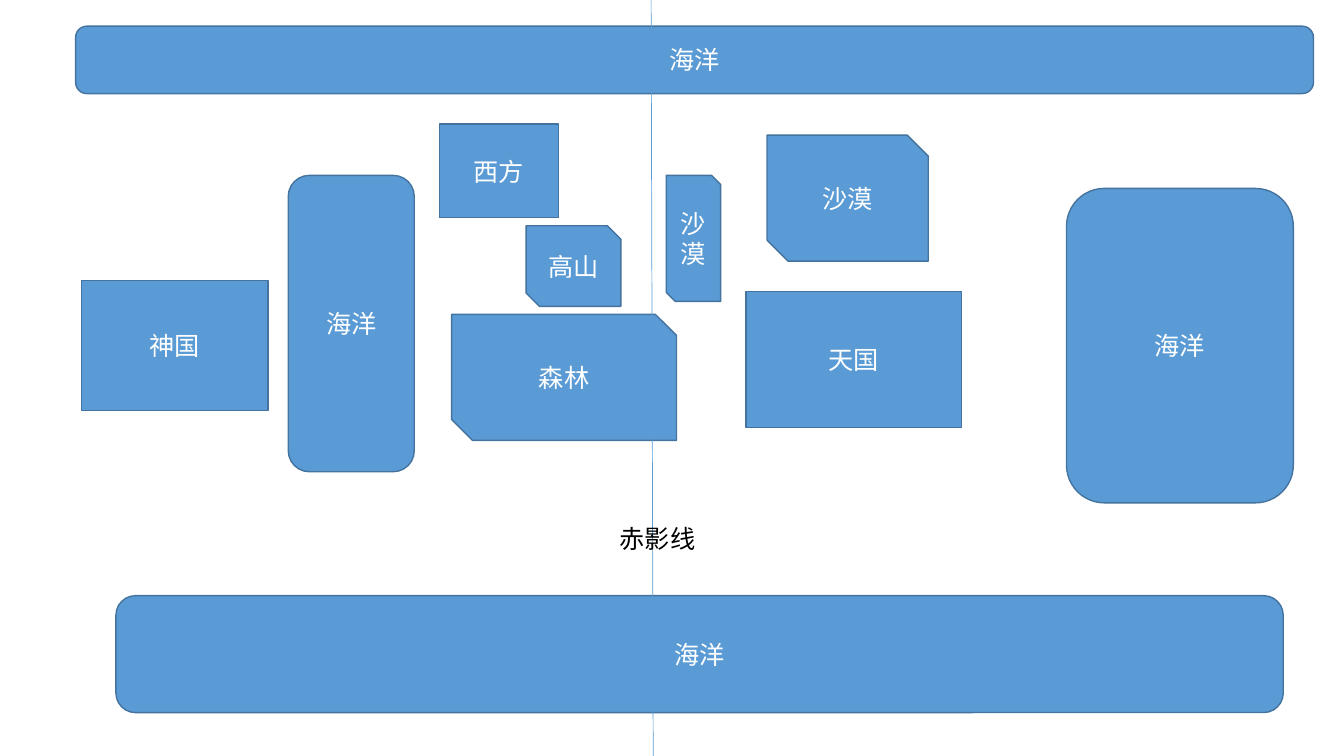
from lxml import etree
from pptx import Presentation
from pptx.dml.color import RGBColor
from pptx.enum.shapes import MSO_CONNECTOR, MSO_SHAPE
from pptx.enum.text import MSO_ANCHOR, MSO_AUTO_SIZE, PP_ALIGN
from pptx.oxml.ns import qn
from pptx.util import Pt

LAND = MSO_SHAPE.RECTANGLE
OCEAN = MSO_SHAPE.ROUNDED_RECTANGLE
TERRAIN = MSO_SHAPE.SNIP_2_DIAG_RECTANGLE
STRAIGHT = MSO_CONNECTOR.STRAIGHT
CENTER = PP_ALIGN.CENTER
LEFT = PP_ALIGN.LEFT
MIDDLE = MSO_ANCHOR.MIDDLE
TOP = MSO_ANCHOR.TOP
FIT_SHAPE = MSO_AUTO_SIZE.SHAPE_TO_FIT_TEXT

COLORS = {"fill": "5B9BD5", "outline": "43739E", "label": "FFFFFF", "text": "000000"}
FONT = "Calibri"
FONT_SIZE = 18

REGIONS = [
    ("天国", LAND, (532.8, 208.1, 154.1, 97.2)),
    ("西方", LAND, (313.9, 88.6, 85, 67)),
    ("森林", TERRAIN, (322.6, 224.6, 160.6, 90)),
    ("神国", LAND, (58.3, 200.2, 133.2, 92.9)),
    ("沙漠", TERRAIN, (475.9, 125.3, 38.9, 90)),
    ("海洋", OCEAN, (205.9, 125.3, 90, 211.7)),
    ("海洋", OCEAN, (761.8, 134.6, 162, 224.6)),
    ("海洋", OCEAN, (82.8, 425.5, 833.8, 83.5)),
    ("海洋", OCEAN, (54, 18.7, 884.2, 48.2)),
]
INNER_REGIONS = [
    ("沙漠", TERRAIN, (547.9, 96.5, 115.2, 90)),
    ("高山", TERRAIN, (375.8, 161.3, 67.7, 57.6)),
]


def color(key):
    return RGBColor.from_string(COLORS[key])


def write_label(frame, text, color_key, align, anchor):
    frame.word_wrap = True
    frame.vertical_anchor = anchor
    paragraph = frame.paragraphs[0]
    paragraph.text = text
    paragraph.alignment = align
    paragraph.font.name = FONT
    paragraph.font.size = Pt(FONT_SIZE)
    paragraph.font.color.rgb = color(color_key)


def add_region(slide, name, outline, box):
    region = slide.shapes.add_shape(outline, *map(Pt, box))
    region.shadow.inherit = False
    region.fill.solid()
    region.fill.fore_color.rgb = color("fill")
    region.line.color.rgb = color("outline")
    region.line.width = Pt(1)
    write_label(region.text_frame, name, "label", CENTER, MIDDLE)


def add_meridian(slide, start, end):
    meridian = slide.shapes.add_connector(STRAIGHT, *map(Pt, start + end))
    meridian.line.color.rgb = color("fill")
    meridian.line.width = Pt(0.5)
    etree.SubElement(meridian._element.spPr, qn("a:effectLst"))


def add_caption(slide, text, box):
    caption = slide.shapes.add_textbox(*map(Pt, box))
    write_label(caption.text_frame, text, "text", LEFT, TOP)
    caption.text_frame.auto_size = FIT_SHAPE


def main():
    deck = Presentation()
    deck.slide_width = Pt(960)
    deck.slide_height = Pt(540)
    slide = deck.slides.add_slide(deck.slide_layouts[6])

    for region in REGIONS:
        add_region(slide, *region)
    add_meridian(slide, (465.1, 0), (466.6, 540))
    add_caption(slide, "赤影线", (435.6, 370.1, 319.7, 28.8))
    for region in INNER_REGIONS:
        add_region(slide, *region)

    deck.save("out.pptx")


if __name__ == "__main__":
    main()
